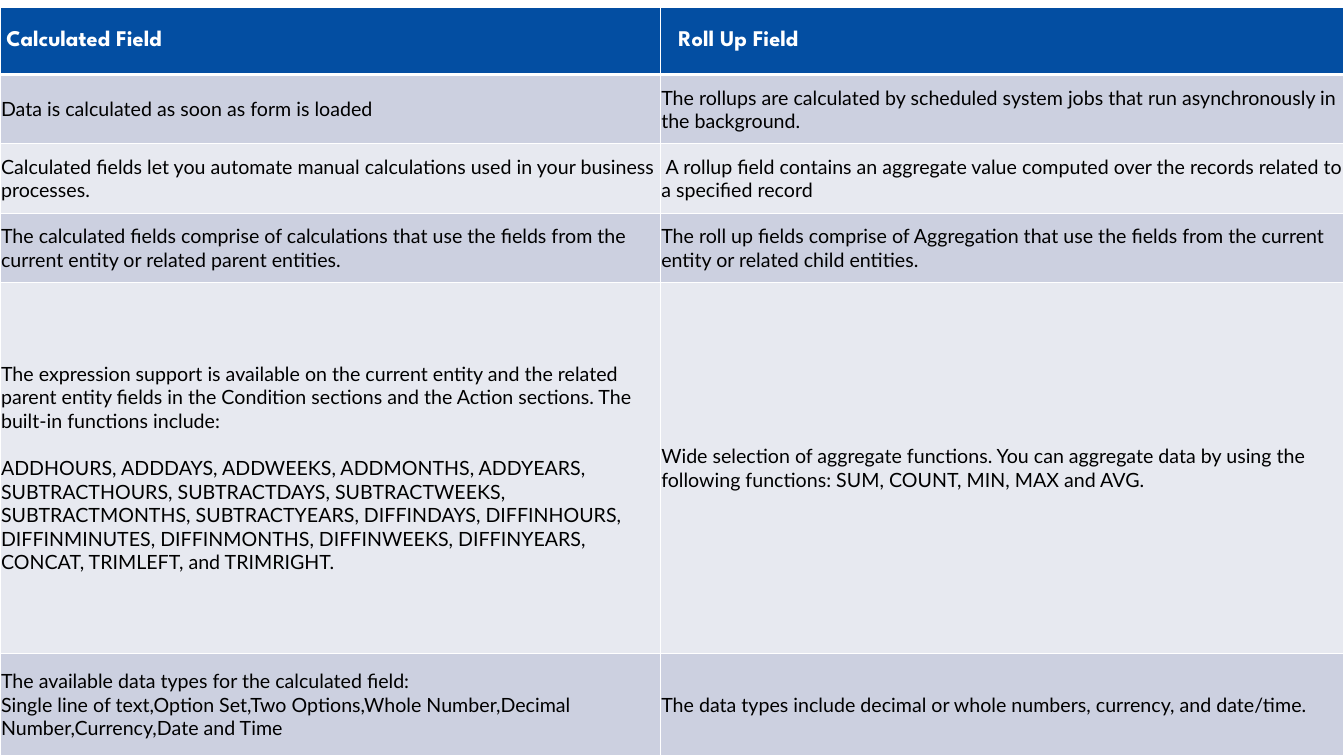
from dataclasses import dataclass

from lxml import etree
from pptx import Presentation
from pptx.dml.color import RGBColor
from pptx.enum.text import MSO_ANCHOR
from pptx.oxml.ns import qn
from pptx.table import _Cell
from pptx.util import Pt

MIDDLE = MSO_ANCHOR.MIDDLE
COLORS = {
    "header": "034EA2",
    "band_dark": "CCD0E0",
    "band_light": "E7E9F0",
    "rule": "FFFFFF",
    "header_text": "FFFFFF",
    "body_text": "000000",
}
SLIDE_WIDTH, SLIDE_HEIGHT = 960, 540
TABLE_TOP = 5.1
COLUMN_WIDTHS = (471.6, 488.4)
CELL_MARGIN = 0.75
HEADER_MARGINS = (4.5, 13)
THIN_RULE, THICK_RULE = 1, 3
BODY_SIZE = 14


@dataclass(frozen=True)
class ComparisonRow:
    height: float
    calculated: tuple[str, ...]
    rollup: tuple[str, ...]
    paragraph_gap: float = 0


ROWS = (
    ComparisonRow(48.2, ("Calculated Field",), ("Roll Up Field",)),
    ComparisonRow(
        49.5,
        ("Data is calculated as soon as form is loaded",),
        ("The rollups are calculated by scheduled system jobs that run "
         "asynchronously in the background.",),
    ),
    ComparisonRow(
        49.5,
        ("Calculated fields let you automate manual calculations used in your "
         "business processes.",),
        (" A rollup field contains an aggregate value computed over the records "
         "related to a specified record",),
    ),
    ComparisonRow(
        49.5,
        ("The calculated fields comprise of calculations that use the fields from "
         "the current entity or related parent entities.",),
        ("The roll up fields comprise of Aggregation that use the fields from the "
         "current entity or related child entities.",),
    ),
    ComparisonRow(
        265,
        ("The expression support is available on the current entity and the related "
         "parent entity fields in the Condition sections and the Action sections. "
         "The built-in functions include:",
         "ADDHOURS, ADDDAYS, ADDWEEKS, ADDMONTHS, ADDYEARS, SUBTRACTHOURS, "
         "SUBTRACTDAYS, SUBTRACTWEEKS, SUBTRACTMONTHS, SUBTRACTYEARS, DIFFINDAYS, "
         "DIFFINHOURS, DIFFINMINUTES, DIFFINMONTHS, DIFFINWEEKS, DIFFINYEARS, "
         "CONCAT, TRIMLEFT, and TRIMRIGHT."),
        ("Wide selection of aggregate functions. You can aggregate data by using the "
         "following functions: SUM, COUNT, MIN, MAX and AVG.",),
        paragraph_gap=16.8,
    ),
    ComparisonRow(
        73.2,
        ("The available data types for the calculated field:",
         "Single line of text,Option Set,Two Options,Whole Number,Decimal "
         "Number,Currency,Date and Time"),
        ("The data types include decimal or whole numbers, currency, and date/time.",),
    ),
)


def write_text(cell: _Cell, paragraphs: tuple[str, ...], *, font: str, size: float,
               color: str, bold: bool = False, gap: float = 0) -> None:
    frame = cell.text_frame
    for index, text in enumerate(paragraphs):
        para = frame.add_paragraph() if index else frame.paragraphs[0]
        para.space_before = Pt(gap if index else 0)
        span = para.add_run()
        span.text = text
        span.font.name = font
        span.font.size = Pt(size)
        span.font.bold = bold
        span.font.color.rgb = RGBColor.from_string(COLORS[color])


def set_borders(cell: _Cell, *, top: float, bottom: float) -> None:
    properties = cell._tc.get_or_add_tcPr()
    sides = {"lnL": THIN_RULE, "lnR": THIN_RULE, "lnT": top, "lnB": bottom}
    for position, (side, width) in enumerate(sides.items()):
        line = etree.Element(qn(f"a:{side}"), w=str(Pt(width)))
        fill = etree.SubElement(line, qn("a:solidFill"))
        etree.SubElement(fill, qn("a:srgbClr"), val=COLORS["rule"])
        properties.insert(position, line)


def style_cell(cell: _Cell, *, fill: str, left: float) -> None:
    cell.fill.solid()
    cell.fill.fore_color.rgb = RGBColor.from_string(COLORS[fill])
    cell.vertical_anchor = MIDDLE
    cell.margin_left = Pt(left)
    cell.margin_right = cell.margin_top = cell.margin_bottom = Pt(CELL_MARGIN)


def main() -> None:
    deck = Presentation()
    deck.slide_width, deck.slide_height = Pt(SLIDE_WIDTH), Pt(SLIDE_HEIGHT)
    page = deck.slides.add_slide(deck.slide_layouts[6])

    # Table grid
    table = page.shapes.add_table(
        len(ROWS), len(COLUMN_WIDTHS), Pt(0), Pt(TABLE_TOP),
        Pt(sum(COLUMN_WIDTHS)), Pt(sum(row.height for row in ROWS)),
    ).table
    for column, width in zip(table.columns, COLUMN_WIDTHS):
        column.width = Pt(width)

    # Header and banded rows
    for row_index, row in enumerate(ROWS):
        table.rows[row_index].height = Pt(row.height)
        is_header = row_index == 0
        band = "band_dark" if row_index % 2 else "band_light"
        for column_index, paragraphs in enumerate((row.calculated, row.rollup)):
            cell = table.cell(row_index, column_index)
            style_cell(
                cell,
                fill="header" if is_header else band,
                left=HEADER_MARGINS[column_index] if is_header else CELL_MARGIN,
            )
            set_borders(
                cell,
                top=THICK_RULE if row_index == 1 else THIN_RULE,
                bottom=THICK_RULE if is_header else THIN_RULE,
            )
            if is_header:
                write_text(cell, paragraphs, font="League Spartan", size=16,
                           color="header_text", bold=True)
            else:
                write_text(cell, paragraphs, font="Lato", size=BODY_SIZE,
                           color="body_text", gap=row.paragraph_gap)

    deck.save("out.pptx")


if __name__ == "__main__":
    main()
